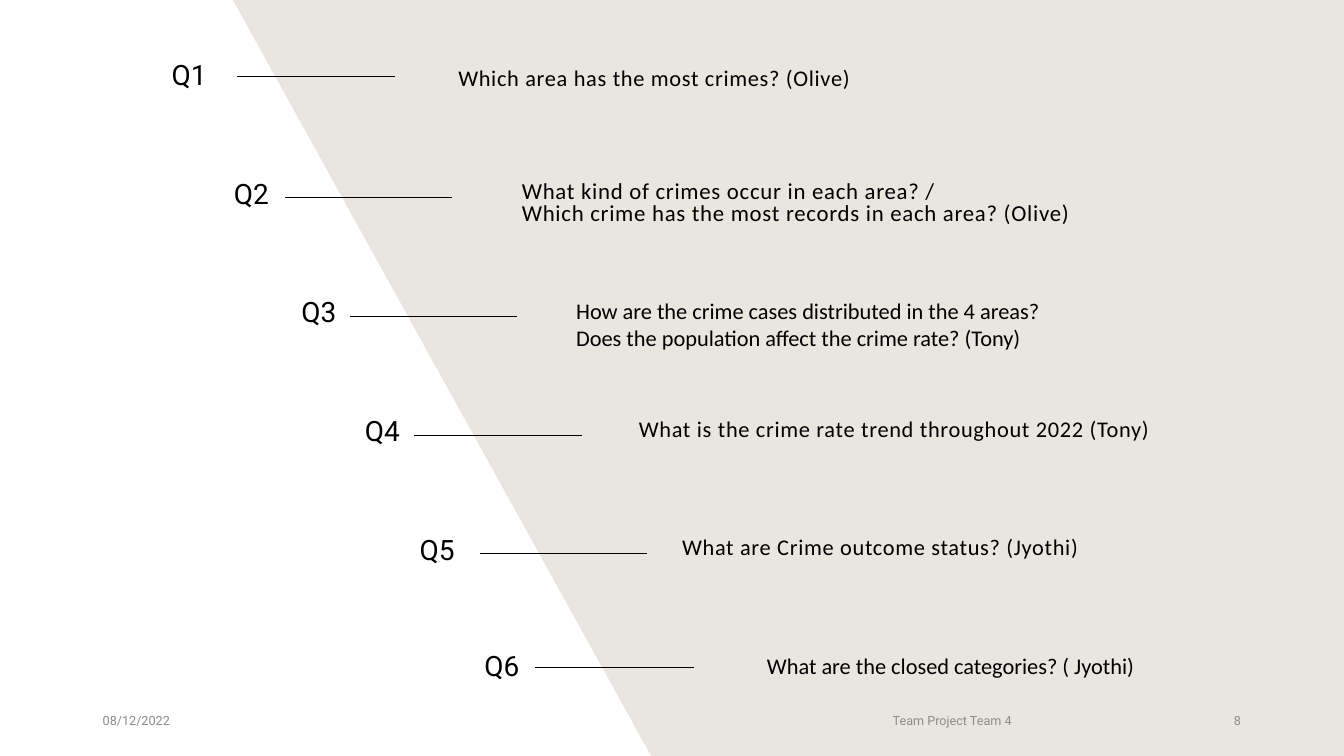
from pptx import Presentation
from pptx.dml.color import RGBColor
from pptx.enum.shapes import MSO_CONNECTOR
from pptx.enum.text import MSO_ANCHOR, PP_ALIGN
from pptx.oxml.ns import qn
from pptx.util import Cm, Pt

LEFT, CENTER, RIGHT = PP_ALIGN.LEFT, PP_ALIGN.CENTER, PP_ALIGN.RIGHT
TOP, MIDDLE = MSO_ANCHOR.TOP, MSO_ANCHOR.MIDDLE
STRAIGHT = MSO_CONNECTOR.STRAIGHT

BLACK = RGBColor(0x00, 0x00, 0x00)
SAND = RGBColor(0xE9, 0xE6, 0xDF)
GREY = RGBColor(0x8C, 0x8C, 0x8C)
SILVER = RGBColor(0x89, 0x89, 0x89)

WIDE, HIGH = 33.87, 19.05

# Label box, rule (from, to, height), question box, then its text style:
# size, tracking in 1/100 pt, line spacing. All lengths in cm.
ROWS = [
    ((3.58, 1.22, 1.88, 1.42), (5.97, 9.96, 1.93), (11.3, 1.5, 15.77, 2.82),
     (16, 50, None), ["Which area has the most crimes? (Olive)"]),
    ((1.09, 4.22, 5.94, 1.42), (7.19, 11.38, 4.98), (12.9, 4.47, 19.28, 2.54),
     (16.3, 50, 0.8), ["What kind of crimes occur in each area? /",
                       "Which crime has the most records in each area? (Olive)"]),
    ((2.79, 7.19, 5.94, 1.42), (8.81, 13.03, 7.98), (14.27, 7.37, 15.75, 1.63),
     (16, 0, None), ["How are the crime cases distributed in the 4 areas?",
                     "Does the population affect the crime rate? (Tony)"]),
    ((4.39, 10.19, 5.94, 1.42), (10.44, 14.66, 10.97), (15.85, 10.34, 14.17, 1.17),
     (16, 50, None), ["What is the crime rate trend throughout 2022 (Tony)"]),
    ((5.77, 13.18, 5.94, 1.42), (12.09, 16.31, 13.94), (16.94, 13.31, 16.69, 1.17),
     (16, 50, None), ["What are Crime outcome status? (Jyothi)"]),
    ((11.71, 16.1, 1.63, 1.42), (13.49, 17.48, 16.81), (19.08, 16.31, 14.53, 0.94),
     (16, 0, None), ["What are the closed categories? ( Jyothi)"]),
]

# Footer: left, width, text, alignment, colour
FOOTER = [
    (2.34, 7.62, "08/12/2022", LEFT, SILVER),
    (18.75, 10.49, "Team Project Team 4", CENTER, GREY),
    (30.02, 1.5, "8", RIGHT, GREY),
]


def add_panel(slide):
    """Slanted background panel."""
    points = [(5.87, 0), (WIDE, 0), (WIDE, HIGH), (16.41, HIGH)]
    start, *rest = [(Cm(x), Cm(y)) for x, y in points]
    pen = slide.shapes.build_freeform(*start)
    pen.add_line_segments(rest, close=True)
    panel = pen.convert_to_shape()
    panel.shadow.inherit = False
    panel.fill.solid()
    panel.fill.fore_color.rgb = SAND
    panel.line.fill.background()


def add_rule(slide, start, end, y):
    """Thin horizontal line."""
    rule = slide.shapes.add_connector(STRAIGHT, Cm(start), Cm(y), Cm(end), Cm(y))
    rule.line.color.rgb = BLACK
    rule.line.width = Pt(0.5)
    props = rule._element.spPr
    props.append(props.makeelement(qn("a:effectLst"), {}))


def add_text(slide, box, lines, font, size, color=BLACK, align=LEFT,
             anchor=TOP, track=0, space=None):
    """Text box with one paragraph per line."""
    frame = slide.shapes.add_textbox(*map(Cm, box)).text_frame
    frame.word_wrap = True
    frame.vertical_anchor = anchor
    frame.text = "\n".join(lines)
    for para in frame.paragraphs:
        para.alignment = align
        para.line_spacing = space
        para.font.name = font
        para.font.size = Pt(size)
        para.font.color.rgb = color
        if track:
            for run in para.runs:
                run._r.get_or_add_rPr().set("spc", str(track))


def main():
    deck = Presentation()
    deck.slide_width, deck.slide_height = Cm(WIDE), Cm(HIGH)
    slide = deck.slides.add_slide(deck.slide_layouts[6])

    add_panel(slide)

    # Questions
    for num, (label, rule, box, style, lines) in enumerate(ROWS, 1):
        size, track, space = style
        add_rule(slide, *rule)
        add_text(slide, label, [f"Q{num}"], "Roboto", 20,
                 align=RIGHT, anchor=MIDDLE, space=0.9)
        add_text(slide, box, lines, "Calibri", size, track=track, space=space)

    # Footer
    for left, width, text, align, color in FOOTER:
        add_text(slide, (left, 17.65, width, 1.02), [text], "Roboto", 9,
                 color, align, MIDDLE)

    deck.save("out.pptx")


if __name__ == "__main__":
    main()
